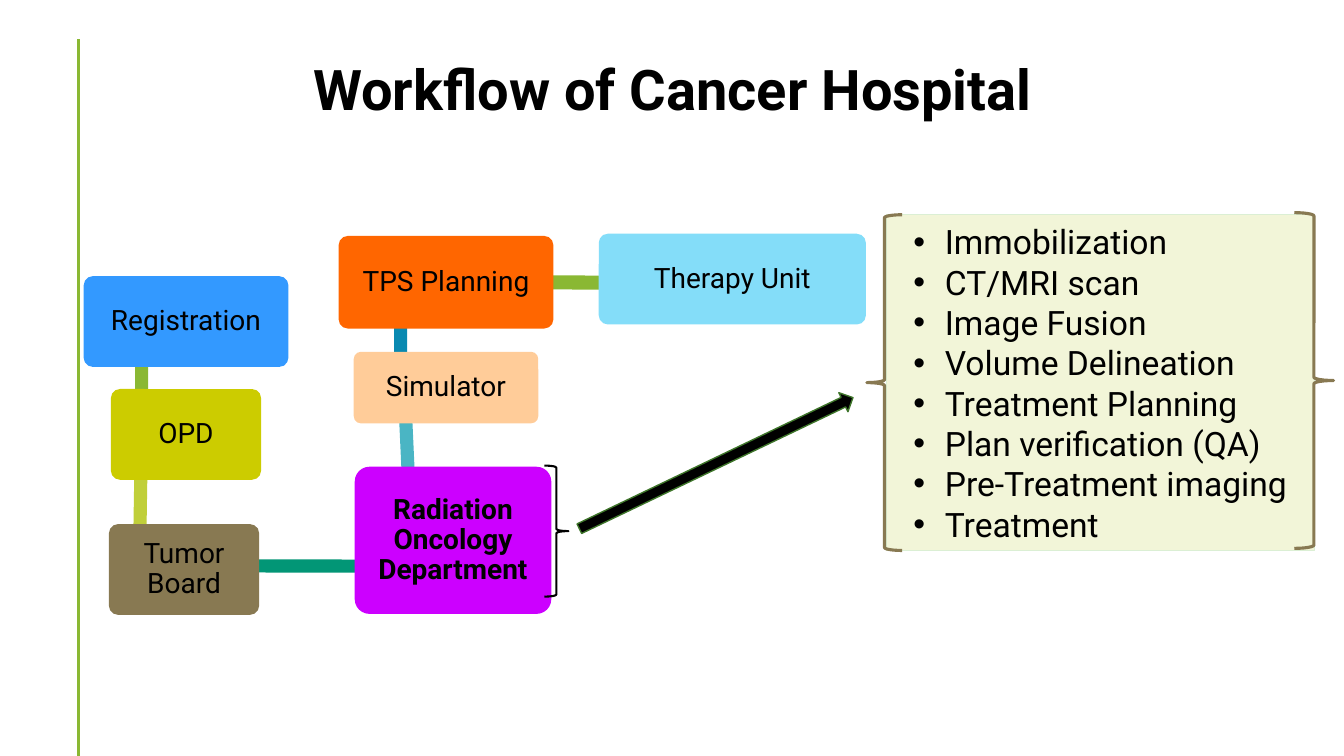
from dataclasses import dataclass

from lxml import etree
from pptx import Presentation
from pptx.dml.color import RGBColor
from pptx.enum.shapes import MSO_CONNECTOR, MSO_SHAPE
from pptx.enum.text import MSO_ANCHOR, PP_ALIGN
from pptx.oxml.ns import qn
from pptx.util import Pt

STRAIGHT = MSO_CONNECTOR.STRAIGHT
RECTANGLE = MSO_SHAPE.RECTANGLE
ROUNDED = MSO_SHAPE.ROUNDED_RECTANGLE
LEFT_BRACE = MSO_SHAPE.LEFT_BRACE
RIGHT_BRACE = MSO_SHAPE.RIGHT_BRACE
RIGHT_ARROW = MSO_SHAPE.RIGHT_ARROW
MIDDLE = MSO_ANCHOR.MIDDLE
LEFT, CENTER = PP_ALIGN.LEFT, PP_ALIGN.CENTER


@dataclass(frozen=True)
class Theme:
    font: str = "Roboto"
    title_size: int = 40
    list_size: int = 24
    step_size: int = 20
    black: str = "000000"
    green: str = "8AB833"
    lime: str = "C0CF3A"
    teal: str = "029676"
    turquoise: str = "4AB5C4"
    ocean: str = "0989B1"
    blue: str = "3399FF"
    olive: str = "CCCC00"
    brown: str = "887952"
    purple: str = "CC00FF"
    peach: str = "FFCC99"
    orange: str = "FF6600"
    sky: str = "84DDF9"
    panel: str = "F2F5D8"
    panel_edge: str = "DBEFD4"
    arrow_edge: str = "3E752A"


THEME = Theme()

# Each step: name, box, fill, bold
STEPS = [
    ("Registration", (59.8, 197.3, 146.2, 64.8), THEME.blue, False),
    ("OPD", (79.2, 277.9, 107.3, 64.8), THEME.olive, False),
    ("Tumor Board", (77.8, 374.4, 107.3, 64.8), THEME.brown, False),
    ("Radiation Oncology Department", (253.4, 333.4, 140.4, 105.1), THEME.purple, True),
    ("Simulator", (252.7, 251.3, 131.8, 51.1), THEME.peach, False),
    ("TPS Planning", (241.9, 168.5, 153.4, 66.2), THEME.orange, False),
    ("Therapy Unit", (427.7, 167, 190.8, 64.8), THEME.sky, False),
]

# Each bar joins a step to the next: box, rotation, fill
BARS = [
    ((61.2, 249.1, 79.9, 9.4), 90, THEME.green),
    ((52.6, 337, 95.8, 9.4), 90.9, THEME.lime),
    ((108, 399.6, 192.2, 9.4), 0.1, THEME.teal),
    ((236.2, 310.3, 108.7, 9.4), 267.4, THEME.turquoise),
    ((249.1, 218.2, 74.2, 9.4), 270, THEME.ocean),
    ((283.7, 196.6, 210.2, 10.1), 0.4, THEME.green),
]

DEPARTMENT_TASKS = [
    "Immobilization", "CT/MRI scan", "Image Fusion", "Volume Delineation",
    "Treatment Planning", "Plan verification (QA)", "Pre-Treatment imaging", "Treatment",
]


def write_text(frame, lines, *, size, bold=False, align=CENTER, spacing=1.0,
               insets=(7.2, 3.6, 7.2, 3.6), bullet_indent=None):
    """Fill a text frame with one paragraph per line."""
    frame.word_wrap = True
    frame.vertical_anchor = MIDDLE
    frame.margin_left, frame.margin_top, frame.margin_right, frame.margin_bottom = map(Pt, insets)
    for index, line in enumerate(lines):
        para = frame.add_paragraph() if index else frame.paragraphs[0]
        para.alignment = align
        para.line_spacing = spacing
        if bullet_indent:
            properties = para._p.get_or_add_pPr()
            properties.set("marL", str(Pt(bullet_indent)))
            properties.set("indent", str(-Pt(bullet_indent)))
            etree.SubElement(properties, qn("a:buFont")).set("typeface", "Arial")
            etree.SubElement(properties, qn("a:buChar")).set("char", "•")
        span = para.add_run()
        span.text = line
        span.font.name = THEME.font
        span.font.size = Pt(size)
        span.font.bold = bold
        span.font.color.rgb = RGBColor.from_string(THEME.black)


class SlideBuilder:
    def __init__(self, page, theme):
        self.page = page
        self.theme = theme

    def title(self, text, box):
        holder = self.page.shapes.title
        holder.left, holder.top, holder.width, holder.height = map(Pt, box)
        write_text(holder.text_frame, [text], size=self.theme.title_size, bold=True, spacing=0.9)

    def rule(self, start, end, color, width):
        line = self.page.shapes.add_connector(STRAIGHT, *map(Pt, start + end))
        line.line.color.rgb = RGBColor.from_string(color)
        line.line.width = Pt(width)
        etree.SubElement(line._element.spPr, qn("a:effectLst"))

    def shape(self, kind, box, *, fill=None, edge=None, edge_width=1, rotation=0):
        shape = self.page.shapes.add_shape(kind, *map(Pt, box))
        shape.shadow.inherit = False
        shape.rotation = rotation
        if fill:
            shape.fill.solid()
            shape.fill.fore_color.rgb = RGBColor.from_string(fill)
        else:
            shape.fill.background()
        if edge:
            shape.line.color.rgb = RGBColor.from_string(edge)
            shape.line.width = Pt(edge_width)
        else:
            shape.line.fill.background()
        return shape

    def step(self, text, box, fill, bold):
        card = self.shape(ROUNDED, box, fill=fill)
        card.adjustments[0] = 0.1
        write_text(card.text_frame, [text], size=self.theme.step_size, bold=bold,
                   spacing=0.9, insets=(7.9,) * 4)

    def bullet_panel(self, lines, box):
        panel = self.shape(RECTANGLE, box, fill=self.theme.panel,
                           edge=self.theme.panel_edge, edge_width=0.75)
        write_text(panel.text_frame, lines, size=self.theme.list_size, align=LEFT,
                   insets=(19.5, 3.6, 7.2, 3.6), bullet_indent=22.5)


def main():
    deck = Presentation()
    deck.slide_width, deck.slide_height = Pt(960), Pt(540)
    page = deck.slides.add_slide(deck.slide_layouts[5])
    builder = SlideBuilder(page, THEME)

    # Side rule and title
    builder.rule((56.2, 28), (56.2, 540), THEME.green, 2)
    builder.title("Workflow of Cancer Hospital", (66.2, 28.8, 828, 74.2))

    # Workflow: bars lie behind the steps they join
    for box, rotation, fill in BARS:
        builder.shape(RECTANGLE, box, fill=fill, rotation=rotation)
    for step in STEPS:
        builder.step(*step)

    # Department tasks between braces
    builder.bullet_panel(DEPARTMENT_TASKS, (632.9, 153.4, 306, 239.8))
    builder.shape(LEFT_BRACE, (619.2, 153.4, 25.2, 239.8), edge=THEME.brown, edge_width=2.25)
    builder.shape(RIGHT_BRACE, (924.5, 151.9, 28.1, 239.8), edge=THEME.brown, edge_width=2.25)

    # Arrow from the department to its tasks
    builder.shape(RIGHT_ARROW, (403.2, 323.3, 216.7, 15.1), fill=THEME.black,
                  edge=THEME.arrow_edge, rotation=334.4)
    builder.shape(RIGHT_BRACE, (388.8, 332.6, 17.3, 93.6), edge=THEME.black, edge_width=1.5)

    deck.save("out.pptx")


if __name__ == "__main__":
    main()
